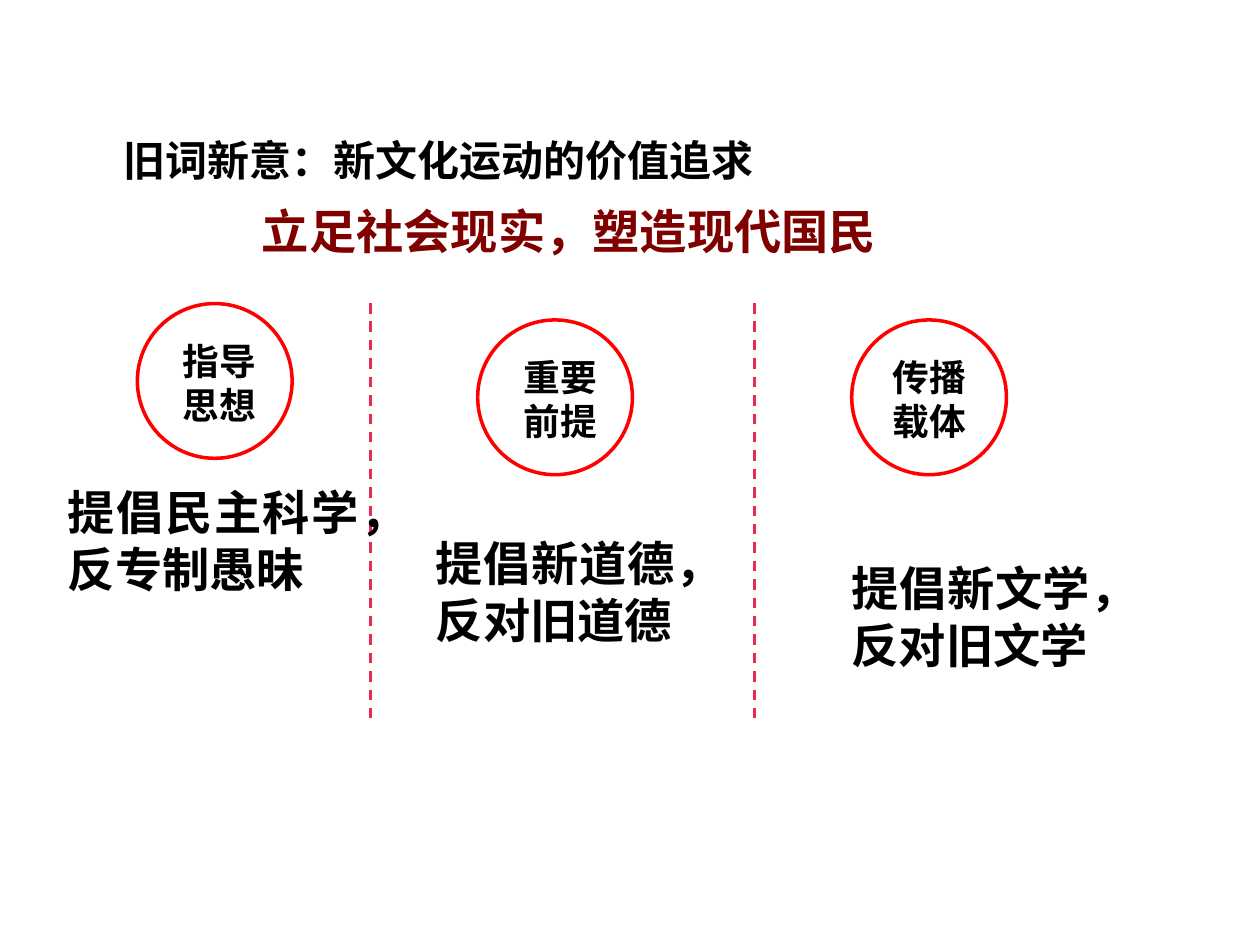
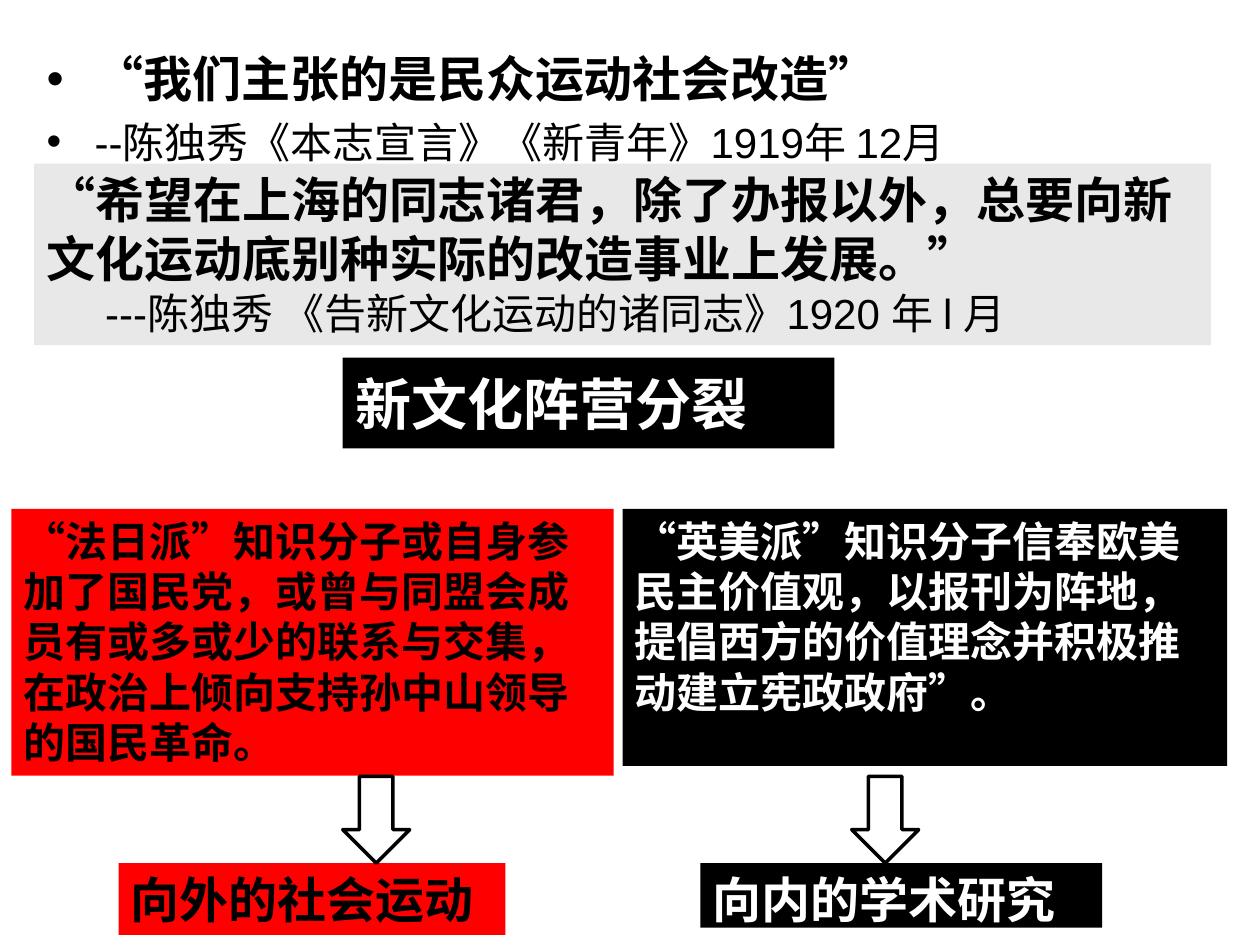
from dataclasses import dataclass

from lxml.etree import SubElement
from pptx import Presentation
from pptx.dml.color import RGBColor
from pptx.enum.dml import MSO_LINE
from pptx.enum.shapes import MSO_CONNECTOR, MSO_SHAPE
from pptx.enum.text import MSO_ANCHOR, MSO_AUTO_SIZE, PP_ALIGN
from pptx.oxml.ns import qn
from pptx.shapes.autoshape import Shape
from pptx.slide import Slide
from pptx.text.text import TextFrame
from pptx.util import Cm, Pt

COLORS = {
    "black": "000000",
    "white": "FFFFFF",
    "red": "FF0000",
    "maroon": "800000",
    "divider": "E42D52",
    "quote": "CCCCCC",
}
HAN_FONT = "Noto Sans CJK SC"
HEADLINE_FONT = "Noto Sans CJK JP"
SOURCE_FONT = "Arial"

CIRCLE_SIZE = 3.12
LABEL_DROP = 0.58
DIVIDER_TOP, DIVIDER_BOTTOM = 6.11, 14.54
ARROW_TOP, ARROW_WIDTH, ARROW_HEIGHT = 15.65, 1.35, 1.75
CAMP_TOP = 10.26
OUTCOME_TOP = 17.4


@dataclass(frozen=True)
class Box:
    left: float
    top: float
    width: float
    height: float

    def lengths(self) -> tuple:
        return Cm(self.left), Cm(self.top), Cm(self.width), Cm(self.height)


@dataclass(frozen=True)
class Pursuit:
    theme: str
    slogan: str
    circle_left: float
    circle_top: float
    label_left: float
    slogan_box: Box


@dataclass(frozen=True)
class Camp:
    belief: str
    outcome: str
    fill: str
    color: str
    belief_box: Box
    outcome_box: Box
    arrow_left: float


PURSUITS = [
    Pursuit("指导思想", "提倡民主科学，反专制愚昧", 2.77, 6.12, 3.43,
            Box(1.37, 9.75, 5.9, 2.31)),
    Pursuit("重要前提", "提倡新道德，反对旧道德", 9.63, 6.45, 10.31,
            Box(8.79, 10.77, 4.82, 2.31)),
    Pursuit("传播载体", "提倡新文学，反对旧文学", 17.17, 6.45, 17.75,
            Box(17.17, 11.28, 4.82, 2.31)),
]
DIVIDERS = (7.47, 15.21)

CAMPS = [
    Camp("“法日派”知识分子或自身参加了国民党，或曾与同盟会成员有或多或少的联系与交集，"
         "在政治上倾向支持孙中山领导的国民革命。",
         "向外的社会运动", "red", "black",
         Box(0.23, CAMP_TOP, 12.14, 5.38), Box(2.39, OUTCOME_TOP, 7.8, 1.45), 6.91),
    Camp("“英美派”知识分子信奉欧美民主价值观，以报刊为阵地，"
         "提倡西方的价值理念并积极推动建立宪政政府”。",
         "向内的学术研究", "black", "white",
         Box(12.55, CAMP_TOP, 12.19, 5.18), Box(14.12, OUTCOME_TOP, 8.1, 1.3), 17.17),
]


def rgb(name: str) -> RGBColor:
    return RGBColor.from_string(COLORS[name])


def write(frame: TextFrame, text: str, *, size: float, color: str = "black",
          bold: bool = True, font: str = HAN_FONT, align: PP_ALIGN = PP_ALIGN.LEFT,
          spacing: float | None = None, before: float = 0, indent: float = 0,
          bullet: bool = False) -> None:
    started = bool(frame.paragraphs[0].runs)
    paragraph = frame.add_paragraph() if started else frame.paragraphs[0]
    paragraph.alignment = align
    if spacing:
        paragraph.line_spacing = spacing
    if before:
        paragraph.space_before = Pt(before)
    properties = paragraph._p.get_or_add_pPr()
    if bullet:
        properties.set("marL", str(Cm(indent)))
        properties.set("indent", str(-Cm(indent)))
        SubElement(properties, qn("a:buFont")).set("typeface", "Arial")
        SubElement(properties, qn("a:buChar")).set("char", "•")
    elif indent:
        properties.set("indent", str(Cm(indent)))
    run = paragraph.add_run()
    run.text = text
    run.font.size = Pt(size)
    run.font.bold = bold
    run.font.name = font
    run.font.color.rgb = rgb(color)
    run_properties = run._r.get_or_add_rPr()
    run_properties.set("lang", "zh-CN")
    east_asian = HAN_FONT if font == SOURCE_FONT else font
    SubElement(run_properties, qn("a:ea")).set("typeface", east_asian)


def prepare(shape: Shape, anchor: MSO_ANCHOR = MSO_ANCHOR.TOP) -> TextFrame:
    frame = shape.text_frame
    frame.word_wrap = True
    frame.auto_size = MSO_AUTO_SIZE.NONE
    frame.vertical_anchor = anchor
    return frame


def add_text_area(slide: Slide, box: Box, inset: bool = True) -> TextFrame:
    frame = prepare(slide.shapes.add_textbox(*box.lengths()))
    if not inset:
        frame.margin_left = frame.margin_right = 0
        frame.margin_top = frame.margin_bottom = 0
    return frame


def add_figure(slide: Slide, kind: MSO_SHAPE, box: Box, fill: str | None = None,
               outline: str | None = None) -> Shape:
    shape = slide.shapes.add_shape(kind, *box.lengths())
    shape.shadow.inherit = False
    if fill:
        shape.fill.solid()
        shape.fill.fore_color.rgb = rgb(fill)
    else:
        shape.fill.background()
    if outline:
        shape.line.color.rgb = rgb(outline)
        shape.line.width = Pt(2)
    else:
        shape.line.fill.background()
    return shape


def add_panel(slide: Slide, box: Box, fill: str,
              anchor: MSO_ANCHOR = MSO_ANCHOR.TOP) -> TextFrame:
    return prepare(add_figure(slide, MSO_SHAPE.RECTANGLE, box, fill), anchor)


def add_divider(slide: Slide, left: float) -> None:
    divider = slide.shapes.add_connector(
        MSO_CONNECTOR.STRAIGHT, Cm(left), Cm(DIVIDER_TOP), Cm(left), Cm(DIVIDER_BOTTOM))
    divider.line.color.rgb = rgb("divider")
    divider.line.width = Pt(1.5)
    divider.line.dash_style = MSO_LINE.DASH
    SubElement(divider._element.spPr, qn("a:effectLst"))


def add_pursuit(slide: Slide, pursuit: Pursuit) -> None:
    add_figure(slide, MSO_SHAPE.OVAL,
               Box(pursuit.circle_left, pursuit.circle_top, CIRCLE_SIZE, CIRCLE_SIZE),
               outline="red")
    label_box = Box(pursuit.label_left, pursuit.circle_top + LABEL_DROP, 2.31, 2.06)
    write(add_text_area(slide, label_box), pursuit.theme, size=21)
    write(add_text_area(slide, pursuit.slogan_box, inset=False), pursuit.slogan,
          size=27, align=PP_ALIGN.JUSTIFY)


def add_camp(slide: Slide, camp: Camp) -> None:
    write(add_panel(slide, camp.belief_box, camp.fill), camp.belief,
          size=24, color=camp.color)
    write(add_panel(slide, camp.outcome_box, camp.fill), camp.outcome,
          size=28, color=camp.color)
    add_figure(slide, MSO_SHAPE.DOWN_ARROW,
               Box(camp.arrow_left, ARROW_TOP, ARROW_WIDTH, ARROW_HEIGHT),
               "white", "black")


def build_pursuits(slide: Slide) -> None:
    for left in DIVIDERS:
        add_divider(slide, left)
    for pursuit in PURSUITS:
        add_pursuit(slide, pursuit)
    write(add_text_area(slide, Box(2.24, 2.59, 14, 1.27)),
          "旧词新意：新文化运动的价值追求", size=24)
    write(add_text_area(slide, Box(4.42, 3.38, 14.1, 1.98)),
          "立足社会现实，塑造现代国民", size=27, color="maroon",
          font=HEADLINE_FONT, align=PP_ALIGN.CENTER, spacing=1.5)


def build_split(slide: Slide) -> None:
    manifesto = add_text_area(slide, Box(0.69, 0.86, 23.29, 2.95))
    write(manifesto, "“我们主张的是民众运动社会改造”", size=28, indent=0.97, bullet=True)
    write(manifesto, "--陈独秀《本志宣言》《新青年》1919年 12月", size=24, bold=False,
          font=SOURCE_FONT, before=4.8, indent=0.97, bullet=True)

    appeal_panel = add_figure(slide, MSO_SHAPE.RECTANGLE, Box(0.69, 3.3, 23.72, 3.66), "quote")
    tint = appeal_panel._element.spPr.find(qn("a:solidFill"))[0]
    SubElement(tint, qn("a:alpha")).set("val", "45000")
    appeal = prepare(appeal_panel)
    write(appeal, "“希望在上海的同志诸君，除了办报以外，总要向新文化运动底别种实际的改造事业上发展。”",
          size=28)
    write(appeal, "---陈独秀 《告新文化运动的诸同志》1920 年 l 月", size=24, bold=False,
          font=SOURCE_FONT, indent=1.18)

    for camp in CAMPS:
        add_camp(slide, camp)
    write(add_panel(slide, Box(6.91, 7.21, 9.91, 1.83), "black", MSO_ANCHOR.MIDDLE),
          "新文化阵营分裂", size=32, color="white")


def main() -> None:
    deck = Presentation()
    deck.slide_width, deck.slide_height = Cm(25.4), Cm(19.05)
    blank = deck.slide_layouts[6]
    for build in (build_pursuits, build_split):
        build(deck.slides.add_slide(blank))
    deck.save("out.pptx")


if __name__ == "__main__":
    main()
